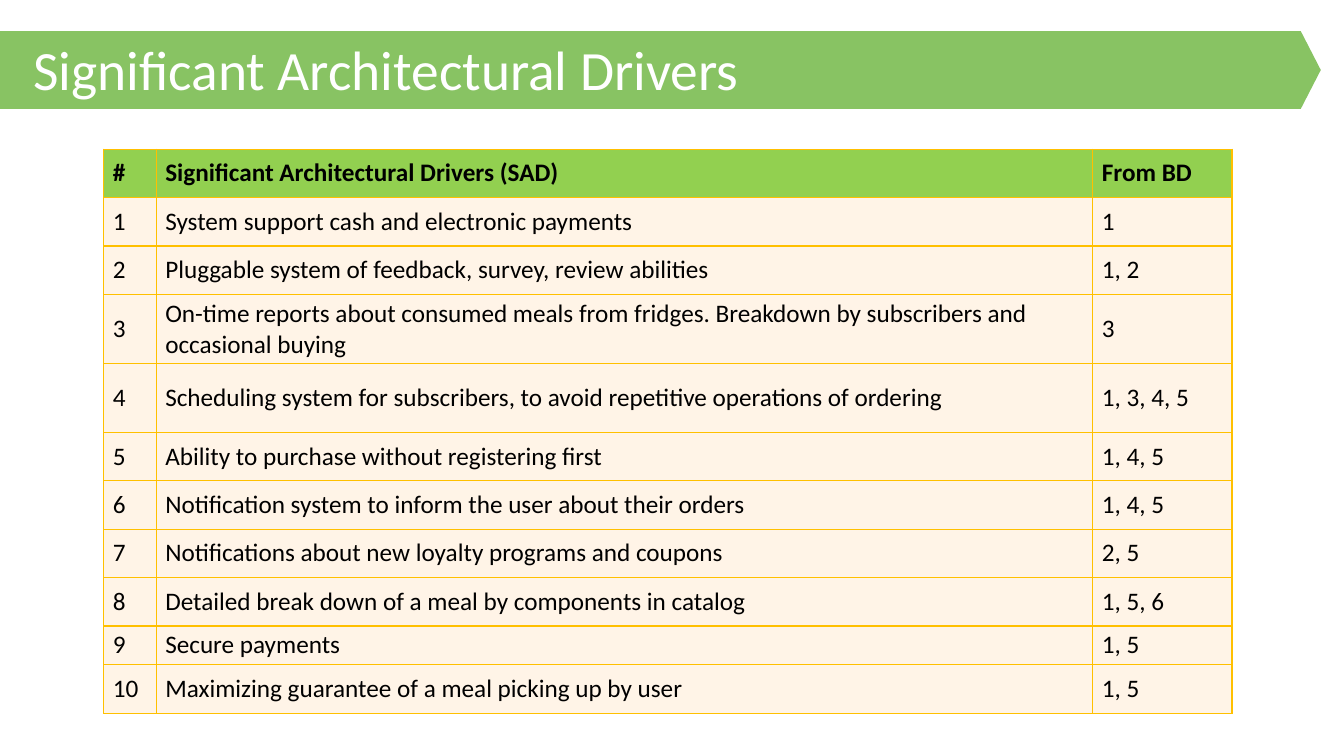
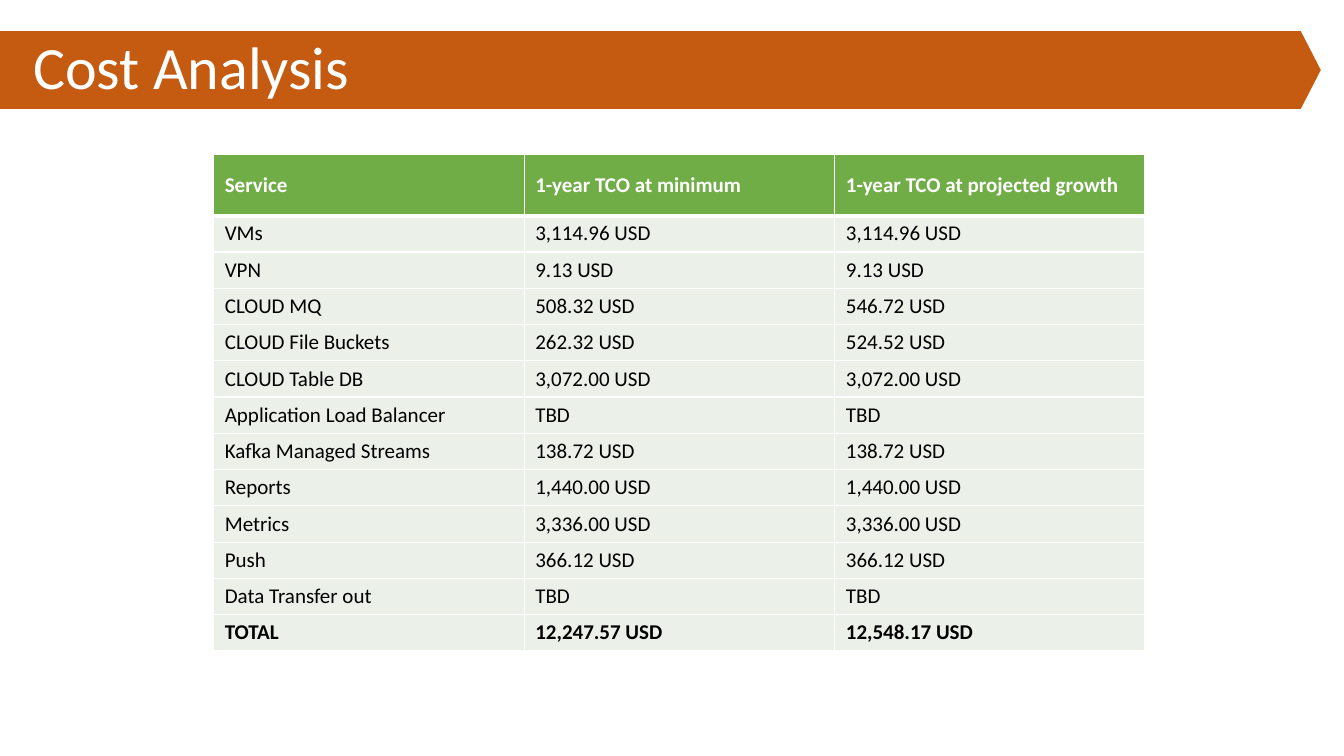
import pptx
import pptx.util
import pptx.dml.color
import pptx.enum.shapes
import pptx.enum.text
import pptx.oxml
import pptx.oxml.ns

Inches = pptx.util.Inches
Pt = pptx.util.Pt
RGB = pptx.dml.color.RGBColor

FONT = "Calibri"
WHITE = RGB(0xFF, 0xFF, 0xFF)
BLACK = RGB(0x00, 0x00, 0x00)
LEAF = RGB(0x88, 0xC3, 0x63)
RUST = RGB(0xC5, 0x5A, 0x11)
LIME = RGB(0x92, 0xD0, 0x50)
CREAM = RGB(0xFF, 0xF4, 0xE7)
GOLD = RGB(0xFF, 0xC0, 0x00)
GREEN = RGB(0x70, 0xAD, 0x47)
MIST = RGB(0xEB, 0xF1, 0xE9)

DRIVERS = [
    ("System support cash and electronic payments", "1"),
    ("Pluggable system of feedback, survey, review abilities", "1, 2"),
    ("On-time reports about consumed meals from fridges. Breakdown by "
     "subscribers and occasional buying", "3"),
    ("Scheduling system for subscribers, to avoid repetitive operations "
     "of ordering", "1, 3, 4, 5"),
    ("Ability to purchase without registering first", "1, 4, 5"),
    ("Notification system to inform the user about their orders", "1, 4, 5"),
    ("Notifications about new loyalty programs and coupons", "2, 5"),
    ("Detailed break down of a meal by components in catalog", "1, 5, 6"),
    ("Secure payments", "1, 5"),
    ("Maximizing guarantee of a meal picking up by user", "1, 5"),
]

COSTS = [
    ("Service", "1-year TCO at minimum", "1-year TCO at projected growth"),
    ("VMs", "3,114.96 USD", "3,114.96 USD"),
    ("VPN", "9.13 USD", "9.13 USD"),
    ("CLOUD MQ", "508.32 USD", "546.72 USD"),
    ("CLOUD File Buckets", "262.32 USD", "524.52 USD"),
    ("CLOUD Table DB", "3,072.00 USD", "3,072.00 USD"),
    ("Application Load Balancer", "TBD", "TBD"),
    ("Kafka Managed Streams", "138.72 USD", "138.72 USD"),
    ("Reports", "1,440.00 USD", "1,440.00 USD"),
    ("Metrics", "3,336.00 USD", "3,336.00 USD"),
    ("Push", "366.12 USD", "366.12 USD"),
    ("Data Transfer out", "TBD", "TBD"),
    ("TOTAL", "12,247.57 USD", "12,548.17 USD"),
]

SLIDES = [
    {
        "title": "Significant Architectural Drivers",
        "width": 9.44, "size": 39.6, "lead": 0.9, "band": LEAF,
        "rows": [("#", "Significant Architectural Drivers (SAD)", "From BD")]
        + [(str(num), *row) for num, row in enumerate(DRIVERS, 1)],
        "left": 1.03, "top": 1.48, "cols": [0.52, 9.29, 1.38],
        "highs": [0.48] * 3 + [0.68] * 2 + [0.48] * 4 + [0.28, 0.48],
        "pads": (0.09, 0.04), "text": 18, "bold": [0],
        "head": LIME, "ink": BLACK, "body": CREAM,
        "line": GOLD, "rule": 1,
    },
    {
        "title": "Cost Analysis",
        "width": 4.65, "size": 42.9, "lead": 0.8, "band": RUST,
        "rows": COSTS,
        "left": 2.12, "top": 1.53, "cols": [3.08, 3.08, 3.07],
        "highs": [0.61] + [0.36] * (len(COSTS) - 1),
        "pads": (0.11, 0.05), "text": 15, "bold": [0, len(COSTS) - 1],
        "head": GREEN, "ink": WHITE, "body": MIST,
        "line": WHITE, "rule": 3,
    },
]


def add_run(para, text, size, color, bold=False):
    run = para.add_run()
    run.text = text
    run.font.name = FONT
    run.font.size = Pt(size)
    run.font.bold = bold
    run.font.color.rgb = color


def add_title(slide, data):
    band = slide.shapes.add_shape(
        pptx.enum.shapes.MSO_SHAPE.PENTAGON,
        Inches(0), Inches(0.31), Inches(13.1), Inches(0.77))
    band.adjustments[0] = 0.257
    band.shadow.inherit = False
    band.fill.solid()
    band.fill.fore_color.rgb = data["band"]
    band.line.fill.background()
    title = slide.shapes.title
    band._element.addnext(title._element)
    title.left, title.top = Inches(0.23), Inches(0.35)
    title.width, title.height = Inches(data["width"]), Inches(0.73)
    frame = title.text_frame
    frame.word_wrap = True
    frame.auto_size = pptx.enum.text.MSO_AUTO_SIZE.NONE
    frame.vertical_anchor = pptx.enum.text.MSO_ANCHOR.MIDDLE
    para = frame.paragraphs[0]
    para.alignment = pptx.enum.text.PP_ALIGN.LEFT
    para.line_spacing = data["lead"]
    add_run(para, data["title"], data["size"], WHITE)


def add_edge(cell, side, color, width):
    props = cell._tc.get_or_add_tcPr()
    props.append(pptx.oxml.parse_xml(
        f'<a:{side} {pptx.oxml.ns.nsdecls("a")} w="{Pt(width)}">'
        f'<a:solidFill><a:srgbClr val="{color}"/></a:solidFill></a:{side}>'))


def style_cell(cell, text, row, data):
    cell.margin_left = cell.margin_right = Inches(data["pads"][0])
    cell.margin_top = cell.margin_bottom = Inches(data["pads"][1])
    cell.vertical_anchor = pptx.enum.text.MSO_ANCHOR.MIDDLE
    widths = {
        "lnL": 1, "lnR": 1,
        "lnT": data["rule"] if row == 1 else 1,
        "lnB": data["rule"] if row == 0 else 1,
    }
    for side, width in widths.items():
        add_edge(cell, side, data["line"], width)
    cell.fill.solid()
    cell.fill.fore_color.rgb = data["body"] if row else data["head"]
    add_run(cell.text_frame.paragraphs[0], text, data["text"],
            BLACK if row else data["ink"], row in data["bold"])


def add_grid(slide, data):
    rows, cols, highs = data["rows"], data["cols"], data["highs"]
    table = slide.shapes.add_table(
        len(rows), len(cols), Inches(data["left"]), Inches(data["top"]),
        Inches(sum(cols)), Inches(sum(highs))).table
    table.horz_banding = False
    for col, width in zip(table.columns, cols):
        col.width = Inches(width)
    for row, high in zip(table.rows, highs):
        row.height = Inches(high)
    for row, texts in enumerate(rows):
        for col, text in enumerate(texts):
            style_cell(table.cell(row, col), text, row, data)


def main():
    deck = pptx.Presentation()
    deck.slide_width, deck.slide_height = Inches(13.33), Inches(7.5)
    for data in SLIDES:
        slide = deck.slides.add_slide(deck.slide_layouts[5])
        add_title(slide, data)
        add_grid(slide, data)
    deck.save("out.pptx")


if __name__ == "__main__":
    main()
